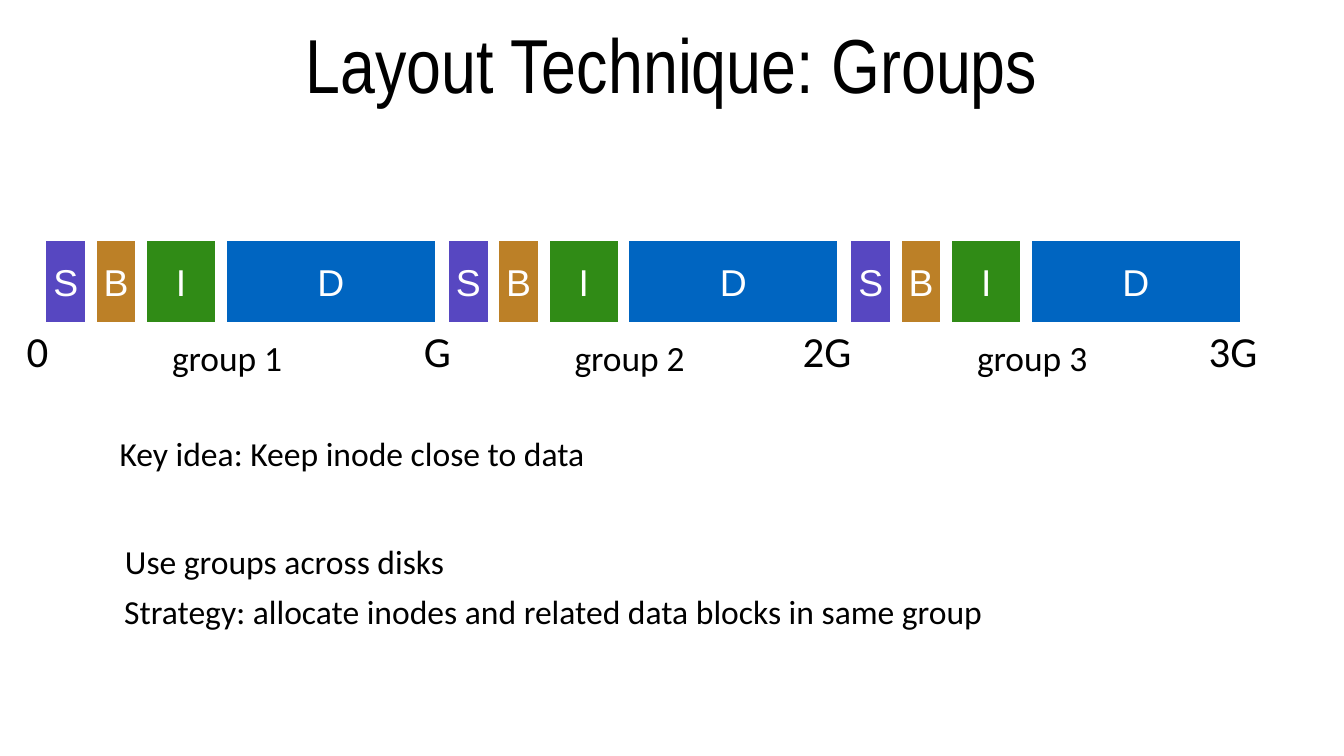
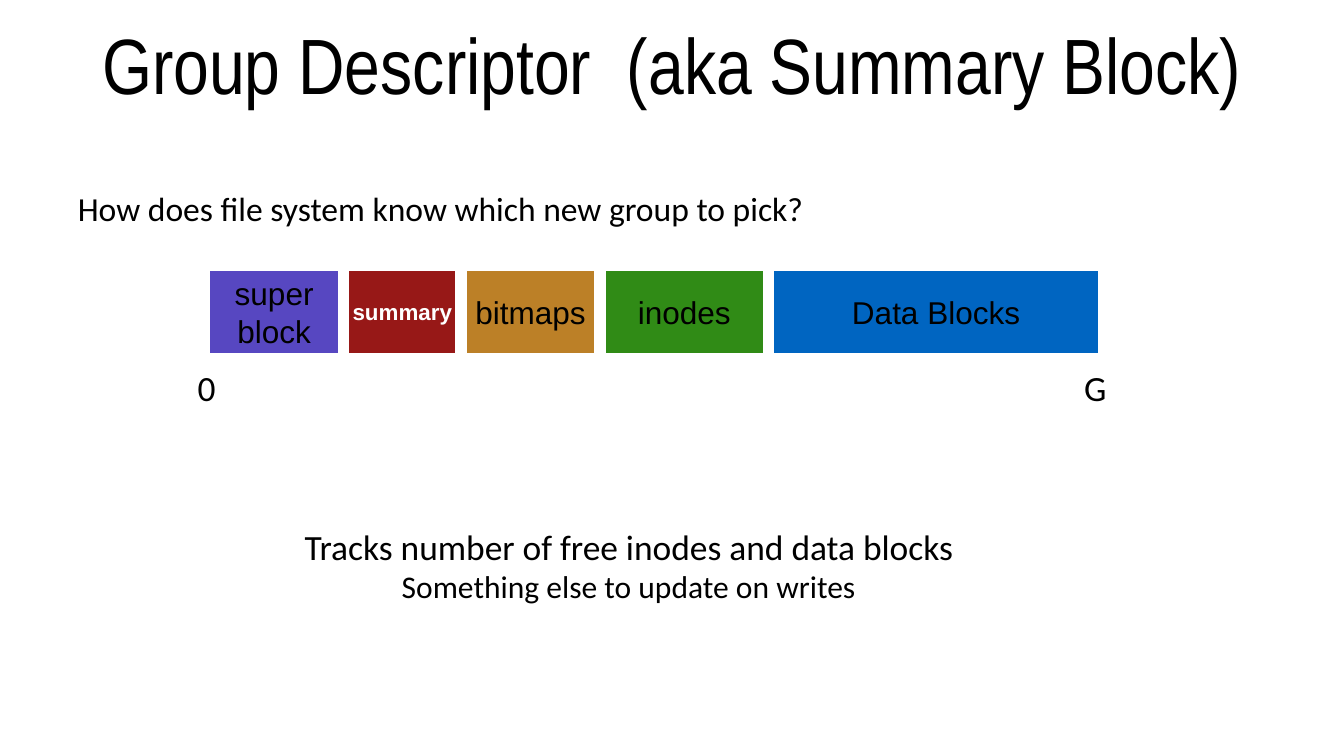
from dataclasses import dataclass

from pptx import Presentation
from pptx import util as u
from pptx.dml.color import RGBColor
from pptx.enum import shapes, text

BLACK = RGBColor(0x00, 0x00, 0x00)
WHITE = RGBColor(0xFF, 0xFF, 0xFF)
SUPER_PURPLE = RGBColor(0x57, 0x47, 0xC1)
SUMMARY_RED = RGBColor(0x97, 0x18, 0x17)
BITMAP_OCHRE = RGBColor(0xBC, 0x80, 0x27)
INODE_GREEN = RGBColor(0x30, 0x8B, 0x16)
DATA_BLUE = RGBColor(0x00, 0x65, 0xC1)

SLIDE_WIDTH = u.Inches(10)
SLIDE_HEIGHT = u.Emu(SLIDE_WIDTH * 9 // 16)
TITLE_ONLY = 5
BLOCK_GAP = 0.44
BLOCK_HEIGHT = 11.56
GROUP_PITCH = 29.95
TIGHT = (0.03, 0.03)
CENTER = text.PP_ALIGN.CENTER
LEFT = text.PP_ALIGN.LEFT


@dataclass(frozen=True)
class Line:
    words: str
    size: float
    color: RGBColor = BLACK
    font: str = "Calibri"
    bold: bool = False


@dataclass(frozen=True)
class Block:
    label: Line
    fill: RGBColor
    width: float


@dataclass(frozen=True)
class Caption:
    lines: tuple[Line, ...]
    left: float
    top: float
    width: float
    height: float
    align: text.PP_ALIGN = CENTER
    anchor: text.MSO_ANCHOR = text.MSO_ANCHOR.MIDDLE
    inset: tuple[float, float] = TIGHT
    wrap: bool = False


def across(share: float) -> u.Emu:
    return u.Emu(round(SLIDE_WIDTH * share / 100))


def down(share: float) -> u.Emu:
    return u.Emu(round(SLIDE_HEIGHT * share / 100))


def area(left: float, top: float, width: float, height: float) -> tuple[u.Emu, ...]:
    return across(left), down(top), across(width), down(height)


def write(frame, lines: tuple[Line, ...], align: text.PP_ALIGN,
          anchor: text.MSO_ANCHOR, inset: tuple[float, float]) -> None:
    frame.vertical_anchor = anchor
    frame.margin_left = frame.margin_right = u.Inches(inset[0])
    frame.margin_top = frame.margin_bottom = u.Inches(inset[1])
    for index, line in enumerate(lines):
        paragraph = frame.add_paragraph() if index else frame.paragraphs[0]
        paragraph.alignment = align
        run = paragraph.add_run()
        run.text = line.words
        run.font.size = u.Pt(line.size)
        run.font.name = line.font
        run.font.bold = line.bold
        run.font.color.rgb = line.color


def add_titled_slide(deck, title: Line):
    slide = deck.slides.add_slide(deck.slide_layouts[TITLE_ONLY])
    heading = slide.shapes.title
    heading.left, heading.top, heading.width, heading.height = area(5, 0, 90, 16.7)
    heading.text_frame.auto_size = text.MSO_AUTO_SIZE.NONE
    write(heading.text_frame, (title,), CENTER, text.MSO_ANCHOR.MIDDLE, (0.1, 0.05))
    return slide


def add_caption(slide, caption: Caption) -> None:
    box = slide.shapes.add_textbox(
        *area(caption.left, caption.top, caption.width, caption.height))
    box.text_frame.word_wrap = caption.wrap
    box.text_frame.auto_size = text.MSO_AUTO_SIZE.SHAPE_TO_FIT_TEXT
    write(box.text_frame, caption.lines, caption.align, caption.anchor, caption.inset)


def add_tick(slide, line: Line, center: float, top: float,
             width: float, height: float) -> None:
    add_caption(slide, Caption((line,), center - width / 2, top, width, height))


def add_block_row(canvas, blocks: tuple[Block, ...], left: float, top: float) -> None:
    for block in blocks:
        cell = canvas.add_shape(shapes.MSO_SHAPE.RECTANGLE,
                                *area(left, top, block.width, BLOCK_HEIGHT))
        cell.shadow.inherit = False
        cell.fill.solid()
        cell.fill.fore_color.rgb = block.fill
        cell.line.color.rgb = WHITE
        cell.line.width = u.Pt(3)
        cell.text_frame.word_wrap = True
        write(cell.text_frame, (block.label,), CENTER, text.MSO_ANCHOR.MIDDLE, (0, 0))
        left += block.width + BLOCK_GAP


def build_groups_slide(deck) -> None:
    slide = add_titled_slide(
        deck, Line("Layout Technique: Groups", 41, font="Arial Narrow"))
    group_blocks = tuple(
        Block(Line(letter, 20, WHITE, "Arial"), fill, width)
        for letter, fill, width in (("S", SUPER_PURPLE, 3.3), ("B", BITMAP_OCHRE, 3.3),
                                    ("I", INODE_GREEN, 5.5), ("D", DATA_BLUE, 15.9)))
    for index in range(3):
        offset = index * GROUP_PITCH
        add_block_row(slide.shapes.add_group_shape().shapes, group_blocks,
                      3.25 + offset, 31.47)
        add_tick(slide, Line(f"group {index + 1}", 19), 16.9 + offset, 43.75, 9, 6.95)

    for mark, center, width in (("0", 2.8, 2.3), ("G", 32.55, 3.1),
                                ("2G", 61.55, 4.7), ("3G", 91.75, 4.7)):
        add_tick(slide, Line(mark, 23), center, 42.3, width, 8.2)

    for words, left, top in (("Key idea: Keep inode close to data", 8.3, 56.7),
                             ("Use groups across disks", 8.7, 71)):
        add_caption(slide, Caption((Line(words, 18),), left, top, 62.1, 6.6, LEFT,
                                   text.MSO_ANCHOR.TOP, (0.06, 0.03), True))
    strategy = Line("Strategy: allocate inodes and related data blocks in same group", 18)
    add_caption(slide, Caption((strategy,), 8.95, 77.5, 65, 6.6, LEFT))


def build_descriptor_slide(deck) -> None:
    slide = add_titled_slide(
        deck, Line("Group Descriptor  (aka Summary Block)", 42, font="Arial Narrow"))
    question = Line("How does file system know which new group to pick?", 18)
    add_caption(slide, Caption((question,), 4.2, 24, 57.2, 7.1,
                               anchor=text.MSO_ANCHOR.TOP, inset=(0.1, 0.05)))
    descriptor_blocks = (
        Block(Line("super block", 16.9, font="Arial"), SUPER_PURPLE, 9.9),
        Block(Line("summary", 12, WHITE, "Arial", True), SUMMARY_RED, 8.3),
        Block(Line("bitmaps", 16.9, font="Arial"), BITMAP_OCHRE, 9.9),
        Block(Line("inodes", 16.9, font="Arial"), INODE_GREEN, 12.1),
        Block(Line("Data Blocks", 16.9, font="Arial"), DATA_BLUE, 24.5),
    )
    add_block_row(slide.shapes, descriptor_blocks, 15.45, 35.5)
    for mark, center, width in (("0", 15.35, 1.9), ("G", 81.5, 2.6)):
        add_tick(slide, Line(mark, 19), center, 47.85, width, 6.75)
    purpose = (Line("Tracks number of free inodes and data blocks", 19),
               Line("Something else to update on writes", 16.9))
    add_caption(slide, Caption(purpose, 22, 68.85, 49.6, 11.75))


def main() -> None:
    deck = Presentation()
    deck.slide_width = SLIDE_WIDTH
    deck.slide_height = SLIDE_HEIGHT
    build_groups_slide(deck)
    build_descriptor_slide(deck)
    deck.save("out.pptx")


if __name__ == "__main__":
    main()
